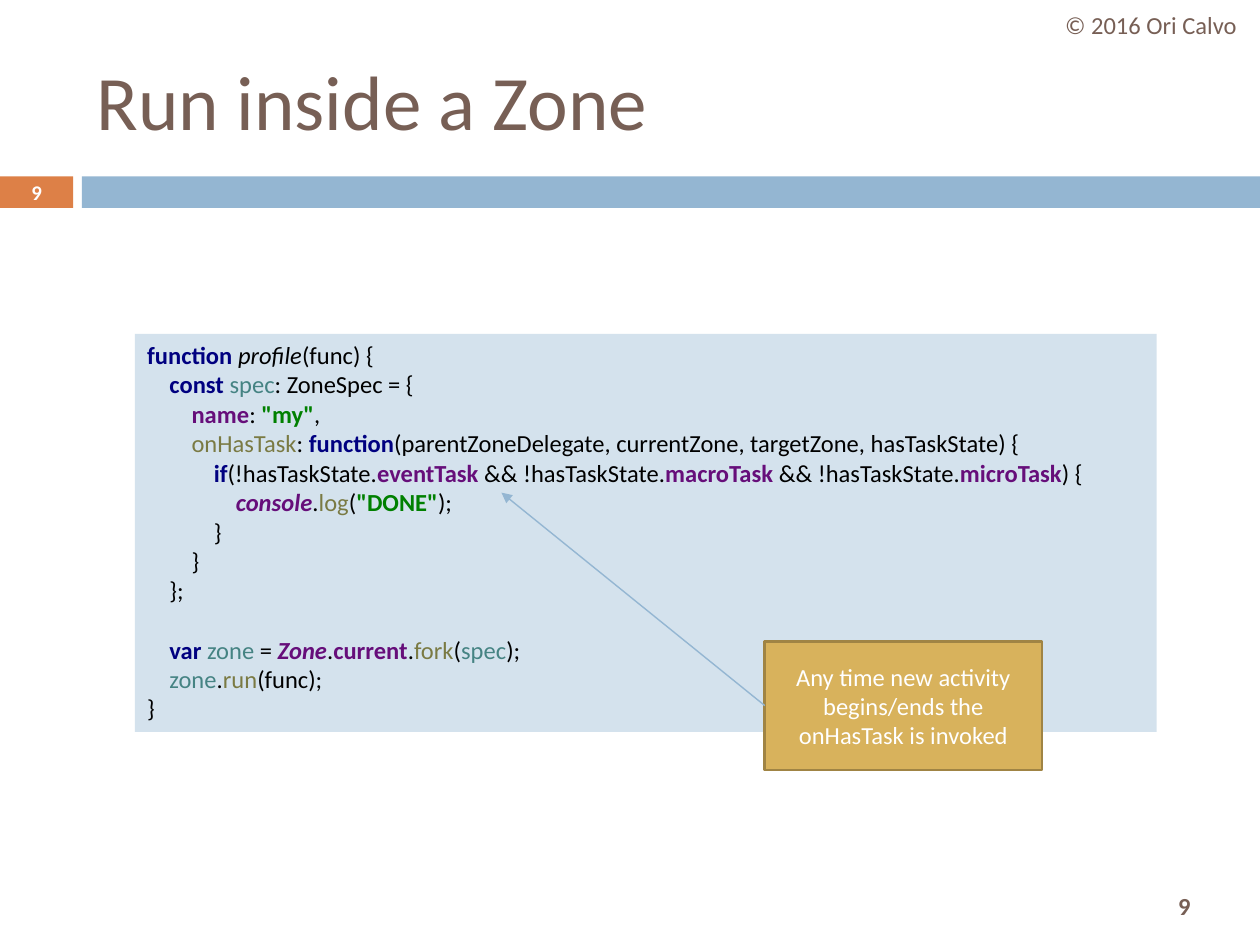
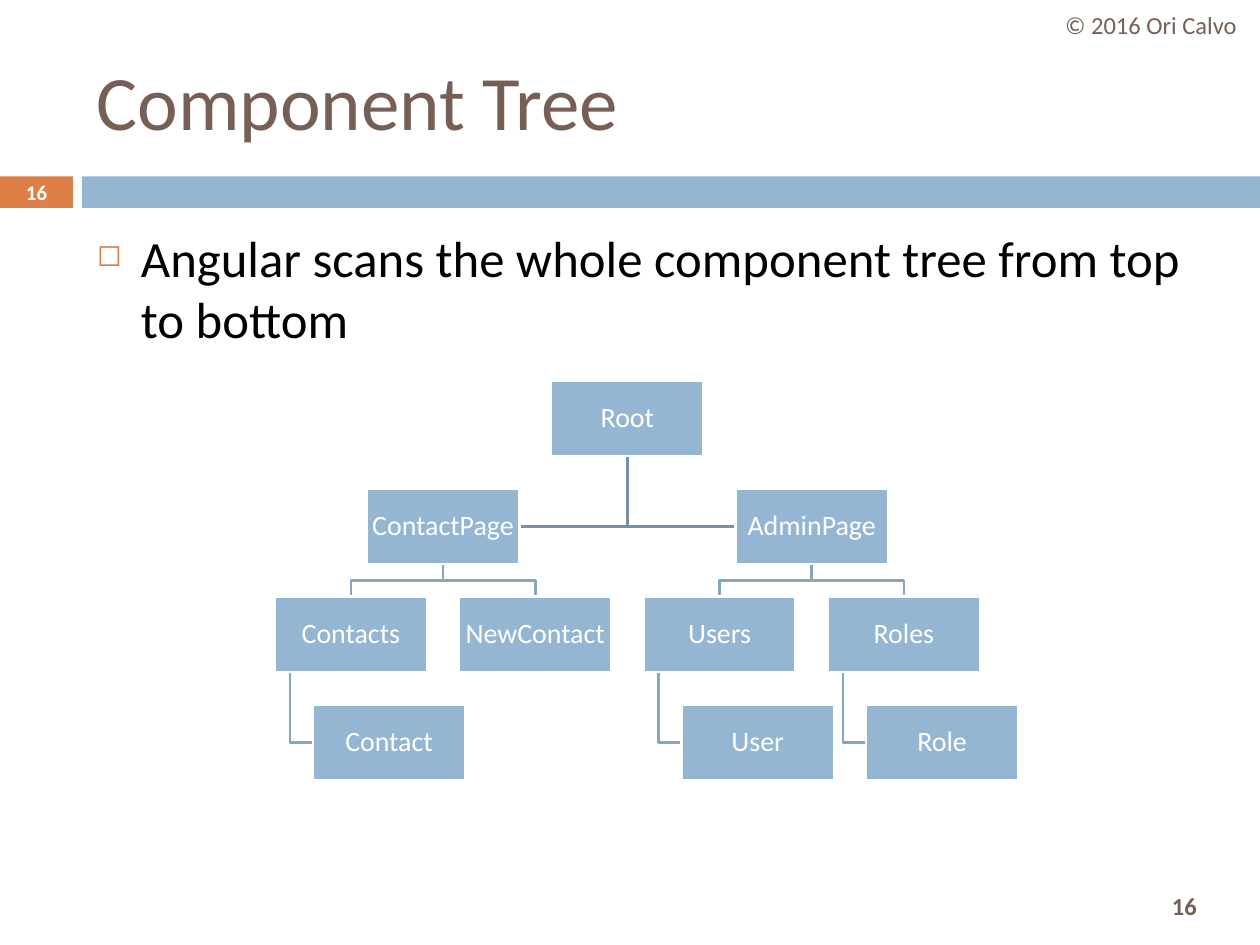
"""Build two slides: a zone code sample and a component tree."""
from lxml import etree
from pptx import Presentation
from pptx.dml.color import RGBColor
from pptx.enum.shapes import MSO_CONNECTOR, MSO_SHAPE
from pptx.enum.text import MSO_ANCHOR, PP_ALIGN
from pptx.oxml.ns import qn
from pptx.util import Inches, Pt

RECTANGLE = MSO_SHAPE.RECTANGLE
STRAIGHT = MSO_CONNECTOR.STRAIGHT
TOP, MIDDLE = MSO_ANCHOR.TOP, MSO_ANCHOR.MIDDLE
LEFT, CENTER = PP_ALIGN.LEFT, PP_ALIGN.CENTER
LEFT_SIDE = 1

BROWN = RGBColor(0x77, 0x5F, 0x55)
ORANGE = RGBColor(0xDD, 0x80, 0x47)
BLUE = RGBColor(0x94, 0xB6, 0xD2)
PALE_BLUE = RGBColor(0xD4, 0xE2, 0xED)
TRUNK_BLUE = RGBColor(0x77, 0x92, 0xA8)
BRANCH_BLUE = RGBColor(0x86, 0xA5, 0xBF)
GOLD = RGBColor(0xD8, 0xB2, 0x5C)
DARK_GOLD = RGBColor(0xA0, 0x84, 0x44)
WHITE = RGBColor(0xFF, 0xFF, 0xFF)
BLACK = RGBColor(0x00, 0x00, 0x00)
NAVY = RGBColor(0x00, 0x00, 0x80)
TEAL = RGBColor(0x45, 0x83, 0x83)
PURPLE = RGBColor(0x66, 0x0E, 0x7A)
GREEN = RGBColor(0x00, 0x80, 0x00)
OLIVE = RGBColor(0x7A, 0x7A, 0x43)

FONT = "Calibri"
GRID_COLUMNS, GRID_ROWS = 100, 75
CODE_INDENT = 1.76
CODE_SIZE = 14

PLAIN = (BLACK, False, False)
NAME = (BLACK, False, True)
KEYWORD = (NAVY, True, False)
VARIABLE = (TEAL, False, False)
MEMBER = (PURPLE, True, False)
GLOBAL = (PURPLE, True, True)
STRING = (GREEN, True, False)
METHOD = (OLIVE, False, False)

CODE = [
    (0, 0, [("function ", KEYWORD), ("profile", NAME), ("(func) {", PLAIN)]),
    (1, 0, [("const ", KEYWORD), ("spec", VARIABLE), (": ZoneSpec = {", PLAIN)]),
    (2, 0, [("name", MEMBER), (": ", PLAIN), ('"my"', STRING), (",", PLAIN)]),
    (2, 0, [("onHasTask", METHOD), (": ", PLAIN), ("function", KEYWORD),
            ("(parentZoneDelegate, currentZone, targetZone, hasTaskState) {", PLAIN)]),
    (3, 0, [("if", KEYWORD), ("(!hasTaskState.", PLAIN), ("eventTask ", MEMBER),
            ("&& !hasTaskState.", PLAIN), ("macroTask ", MEMBER),
            ("&& !hasTaskState.", PLAIN), ("microTask", MEMBER), (") {", PLAIN)]),
    (4, 0, [("console", GLOBAL), (".", PLAIN), ("log", METHOD), ("(", PLAIN),
            ('"DONE"', STRING), (");", PLAIN)]),
    (3, 0, [("}", PLAIN)]),
    (2, 0, [("}", PLAIN)]),
    (1, 0, [("};", PLAIN)]),
    (1, 17, [("var ", KEYWORD), ("zone ", VARIABLE), ("= ", PLAIN), ("Zone", GLOBAL),
             (".", PLAIN), ("current", MEMBER), (".", PLAIN), ("fork", METHOD),
             ("(", PLAIN), ("spec", VARIABLE), (");", PLAIN)]),
    (1, 0, [("zone", VARIABLE), (".", PLAIN), ("run", METHOD), ("(func);", PLAIN)]),
    (0, 0, [("}", PLAIN)]),
]

TREE = [
    ("ContactPage", [("Contacts", "Contact"), ("NewContact", None)]),
    ("AdminPage", [("Users", "User"), ("Roles", "Role")]),
]
NODE_WIDTH, NODE_HEIGHT = 12.1, 6
TREE_LEFT, TREE_TOP = 21.8, 30.2
NODE_STEP, LEVEL_STEP = 14.63, 8.57
LEAF_SHIFT = NODE_WIDTH / 4
STEM_SHIFT = NODE_WIDTH / 10


class Deck:
    """Hold the shared style and the current slide, and draw each kind of element."""

    def __init__(self):
        """Start an empty presentation on the grid."""
        self.presentation = Presentation()
        self.presentation.slide_width = Inches(10)
        self.presentation.slide_height = Inches(7.5)
        self.column = self.presentation.slide_width / GRID_COLUMNS
        self.row = self.presentation.slide_height / GRID_ROWS
        self.slide = None

    def place(self, columns, rows):
        """Turn a grid point into slide lengths."""
        return round(columns * self.column), round(rows * self.row)

    def add_slide(self, title, number):
        """Open a slide with the shared bands, title, credit and numbers."""
        layout = self.presentation.slide_layouts[6]
        self.slide = self.presentation.slides.add_slide(layout)
        self.rectangle((0, 14, 5.8, 2.5), ORANGE)
        self.rectangle((6.5, 14, 93.5, 2.5), BLUE)
        self.text((89.4, 69.8, 9.2, 4.2), number, 14, BROWN, CENTER, bold=True)
        self.text((6.7, 2.5, 89.2, 10.8), title, 44, BROWN)
        self.text((82.7, 0, 17.3, 4), "© 2016 Ori Calvo", 14, BROWN, CENTER)
        self.text((0, 13.9, 5.8, 2.7), number, 11.9, WHITE, CENTER, bold=True)

    def rectangle(self, area, fill, line=None):
        """Draw a flat rectangle."""
        shape = self.slide.shapes.add_shape(
            RECTANGLE, *self.place(*area[:2]), *self.place(*area[2:]))
        shape.shadow.inherit = False
        shape.fill.solid()
        shape.fill.fore_color.rgb = fill
        if line is None:
            shape.line.fill.background()
        else:
            shape.line.color.rgb = line
            shape.line.width = Pt(1.5)
        return shape

    def text(self, area, words, size, color, align=LEFT, anchor=MIDDLE, bold=False):
        """Add a text box with one paragraph and return the paragraph."""
        box = self.slide.shapes.add_textbox(
            *self.place(*area[:2]), *self.place(*area[2:]))
        return self.label(box, words, size, color, align, anchor, bold)

    def label(self, shape, words, size, color, align=CENTER, anchor=MIDDLE, bold=False):
        """Fill a shape with one styled paragraph."""
        frame = shape.text_frame
        frame.word_wrap = True
        frame.vertical_anchor = anchor
        frame.text = words
        paragraph = frame.paragraphs[0]
        paragraph.alignment = align
        self.style(paragraph.runs[0], size, color, bold)
        return paragraph

    def style(self, run, size, color, bold=False, italic=False):
        """Format one run."""
        run.font.name = FONT
        run.font.size = Pt(size)
        run.font.color.rgb = color
        run.font.bold = bold
        run.font.italic = italic

    def code(self, area, lines):
        """Draw a panel of coloured code, one paragraph a line."""
        frame = self.rectangle(area, PALE_BLUE).text_frame
        frame.word_wrap = True
        frame.vertical_anchor = TOP
        for index, (level, gap, tokens) in enumerate(lines):
            paragraph = frame.add_paragraph() if index else frame.paragraphs[0]
            paragraph.alignment = LEFT
            paragraph.space_before = Pt(gap)
            indent = round(level * CODE_INDENT * self.column)
            paragraph._p.get_or_add_pPr().set("marL", str(indent))
            for words, (color, bold, italic) in tokens:
                run = paragraph.add_run()
                run.text = words
                self.style(run, CODE_SIZE, color, bold, italic)

    def bullet(self, area, words):
        """Add a text box with a square bullet."""
        paragraph = self.text(area, words, 29, BLACK, anchor=TOP)
        paragraph.space_before = Pt(7)
        properties = paragraph._p.get_or_add_pPr()
        indent = round(3.5 * self.column)
        properties.set("marL", str(indent))
        properties.set("indent", str(-indent))
        color = etree.SubElement(properties, qn("a:buClr"))
        etree.SubElement(color, qn("a:srgbClr"), val=str(ORANGE))
        etree.SubElement(properties, qn("a:buSzPct"), val="60000")
        etree.SubElement(properties, qn("a:buChar"), char="◻")

    def arrow(self, source, end):
        """Draw an arrow from the left side of a shape to a grid point."""
        connector = self.slide.shapes.add_connector(
            STRAIGHT, source.left, source.top, *self.place(*end))
        connector.begin_connect(source, LEFT_SIDE)
        connector.line.color.rgb = BLUE
        connector.line.width = Pt(0.79)
        properties = connector.element.spPr
        etree.SubElement(properties.find(qn("a:ln")), qn("a:tailEnd"), type="triangle")
        etree.SubElement(properties, qn("a:effectLst"))

    def branch(self, points, color):
        """Draw an open bent line through grid points."""
        start, *others = [self.place(*point) for point in points]
        builder = self.slide.shapes.build_freeform(*start)
        builder.add_line_segments(others, close=False)
        shape = builder.convert_to_shape()
        shape.shadow.inherit = False
        shape.fill.background()
        shape.line.color.rgb = color
        shape.line.width = Pt(1.5)

    def node(self, left, top, words):
        """Draw one labelled box of the tree."""
        shape = self.rectangle((left, top, NODE_WIDTH, NODE_HEIGHT), BLUE, WHITE)
        frame = shape.text_frame
        frame.margin_left = frame.margin_right = Inches(0.01)
        frame.margin_top = frame.margin_bottom = Inches(0.01)
        self.label(shape, words, 16, WHITE).line_spacing = 0.9

    def tree(self, root, pages):
        """Draw the branches first and then the boxes of a four-level tree."""
        root_top, page_top, part_top, leaf_top = [
            TREE_TOP + level * LEVEL_STEP for level in range(4)]
        half_width, half_height = NODE_WIDTH / 2, NODE_HEIGHT / 2
        root_left = TREE_LEFT + NODE_STEP * 1.5
        root_center = root_left + half_width
        page_middle = page_top + half_height
        page_bottom = page_top + NODE_HEIGHT
        fork = (page_bottom + part_top) / 2
        nodes = [(root_left, root_top, root)]
        for page_index, (page, parts) in enumerate(pages):
            page_left = TREE_LEFT + NODE_STEP * (2 * page_index + 0.5)
            page_center = page_left + half_width
            near_side = page_left if page_index else page_left + NODE_WIDTH
            nodes.append((page_left, page_top, page))
            self.branch([(root_center, root_top + NODE_HEIGHT),
                         (root_center, page_middle), (near_side, page_middle)], TRUNK_BLUE)
            for part_index, (part, leaf) in enumerate(parts):
                part_left = TREE_LEFT + NODE_STEP * (2 * page_index + part_index)
                part_center = part_left + half_width
                nodes.append((part_left, part_top, part))
                self.branch([(page_center, page_bottom), (page_center, fork),
                             (part_center, fork), (part_center, part_top)], BRANCH_BLUE)
                if leaf:
                    stem = part_left + STEM_SHIFT
                    leaf_left = part_left + LEAF_SHIFT
                    leaf_middle = leaf_top + half_height
                    nodes.append((leaf_left, leaf_top, leaf))
                    self.branch([(stem, part_top + NODE_HEIGHT), (stem, leaf_middle),
                                 (leaf_left, leaf_middle)], BRANCH_BLUE)
        for node in nodes:
            self.node(*node)


def main():
    """Build both slides and save them."""
    deck = Deck()
    deck.add_slide("Run inside a Zone", "9")
    deck.code((10.7, 26.5, 81.1, 31.6), CODE)
    callout = deck.rectangle((60.7, 50.9, 22, 10.2), GOLD, DARK_GOLD)
    deck.label(callout, "Any time new activity begins/ends the onHasTask is invoked", 14, WHITE)
    deck.arrow(callout, (39.8, 39.1))

    deck.add_slide("Component Tree", "16")
    deck.bullet((6.7, 17.5, 89.2, 49.2),
                "Angular scans the whole component tree from top to bottom")
    deck.tree("Root", TREE)
    deck.presentation.save("out.pptx")


if __name__ == "__main__":
    main()
